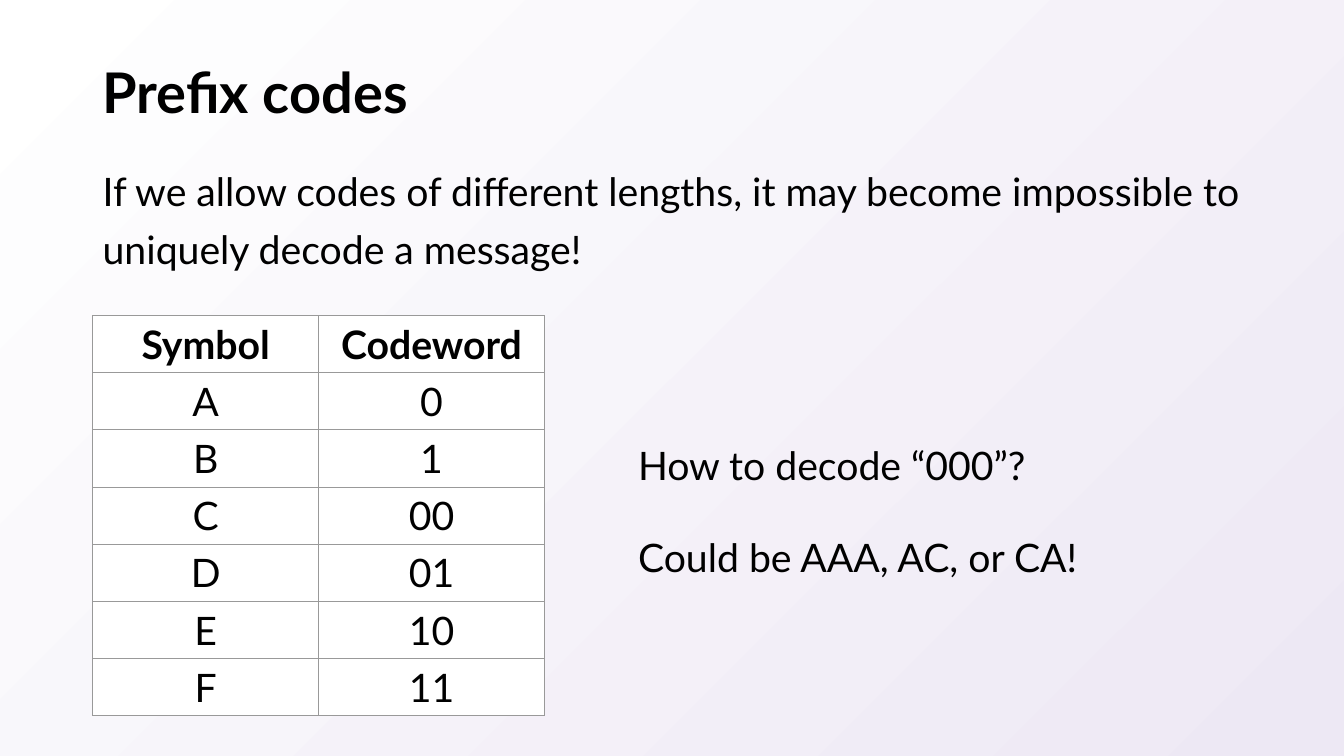
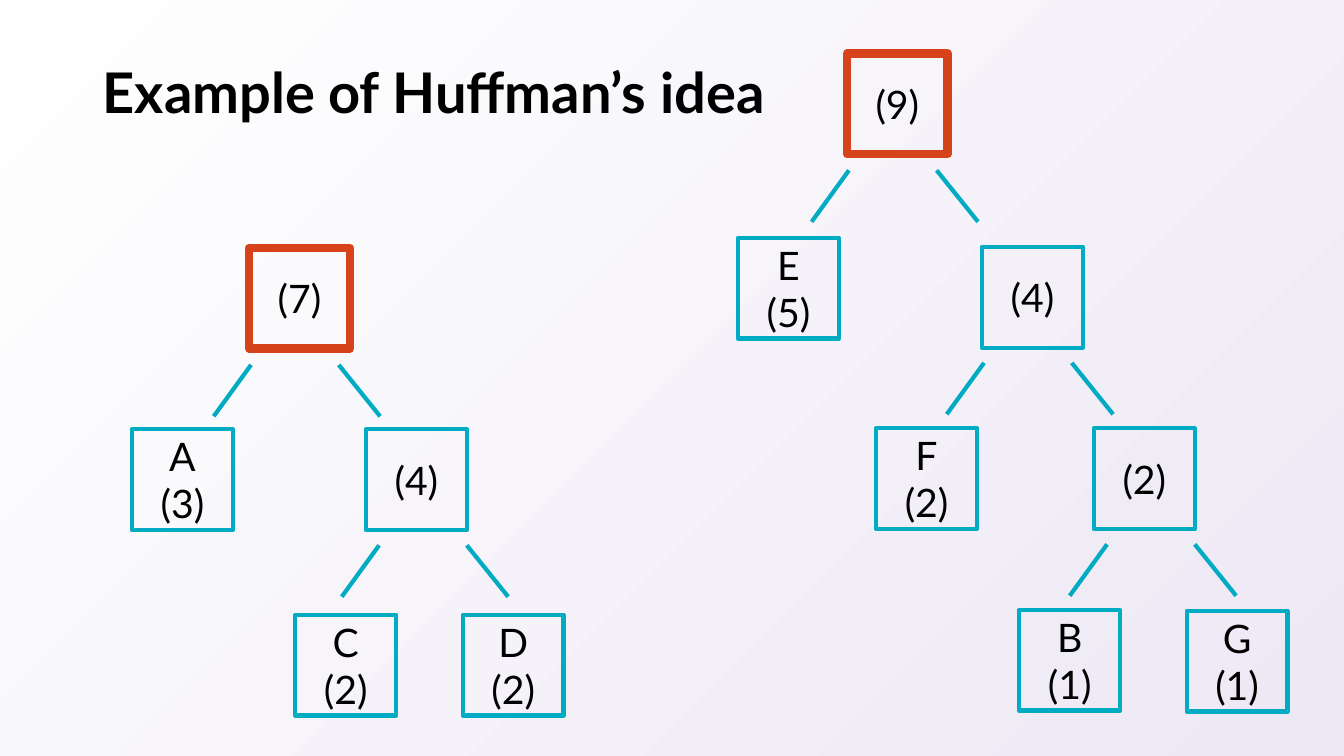
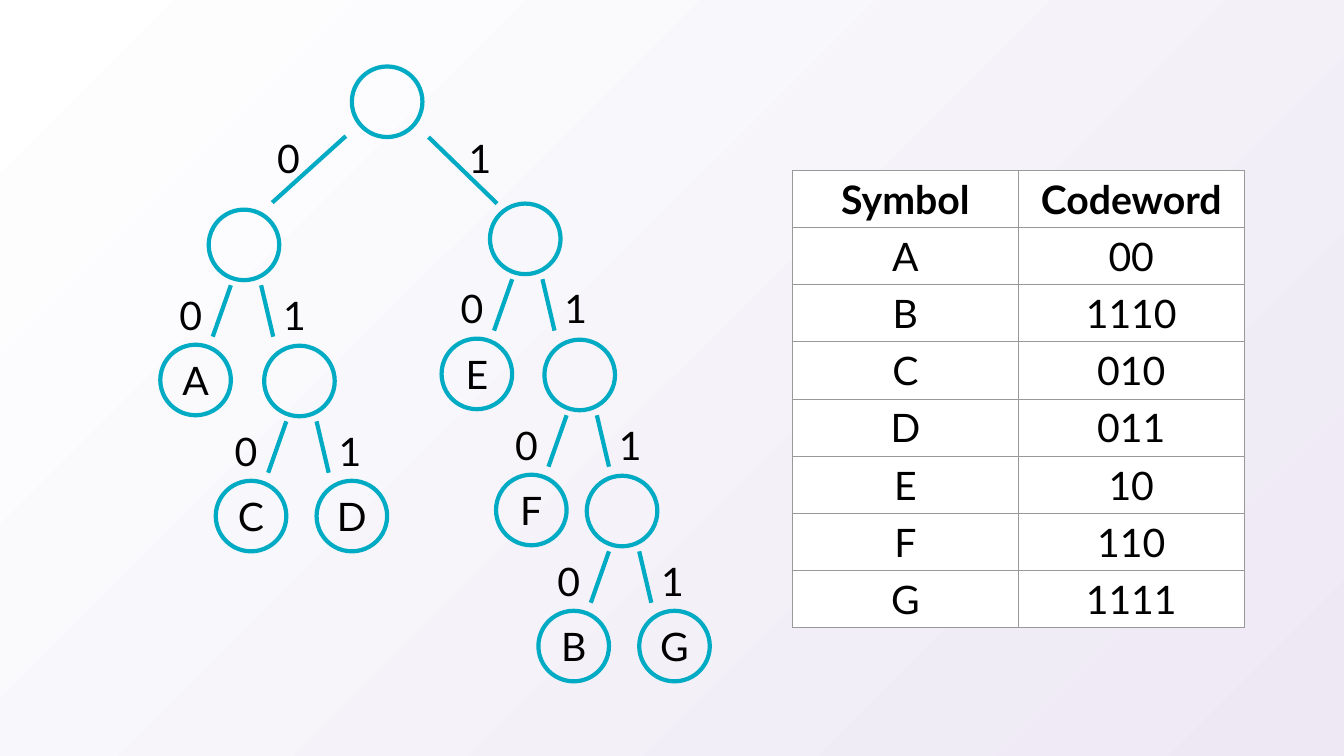
from pptx import Presentation
from pptx.dml.color import RGBColor
from pptx.enum.shapes import MSO_CONNECTOR, MSO_SHAPE
from pptx.enum.text import MSO_ANCHOR, PP_ALIGN
from pptx.oxml.ns import qn
from pptx.util import Pt
from lxml.etree import SubElement

PX = 9144  # EMU per px, 100 px to the inch
WHITE = RGBColor(0xFF, 0xFF, 0xFF)
BLACK = RGBColor(0x00, 0x00, 0x00)
LILAC = RGBColor(0xED, 0xE8, 0xF4)
TEAL = RGBColor(0x00, 0xAB, 0xC3)
ORANGE = RGBColor(0xD6, 0x43, 0x1A)
GREY = RGBColor(0x99, 0x99, 0x99)
FONT = "Lato"
TITLE_SIZE, TEXT_SIZE = 40, 28
BOX, CIRCLE = 100, 70


def px(*lengths):
    return [length * PX for length in lengths]


class Deck:
    def __init__(self):
        self.prs = Presentation()
        self.prs.slide_width, self.prs.slide_height = px(1333, 750)
        fill = self.prs.slide_master.background.fill
        fill.gradient()
        fill.gradient_angle = 315
        for stop, color in zip(fill.gradient_stops, (WHITE, LILAC)):
            stop.color.rgb = color

    def new_slide(self, title=None):
        self.slide = self.prs.slides.add_slide(self.prs.slide_layouts[6])
        if title:
            self.text(92, 40, 1150, 109, [title], size=TITLE_SIZE, bold=True,
                      anchor=MSO_ANCHOR.MIDDLE, line_spacing=0.9, before=0)

    def add_lines(self, frame, lines, size=TEXT_SIZE, bold=False, align=PP_ALIGN.LEFT,
                  line_spacing=None, before=None):
        for index, line in enumerate(lines):
            paragraph = frame.add_paragraph() if index else frame.paragraphs[0]
            paragraph.alignment = align
            paragraph.line_spacing = line_spacing
            if before is not None:
                paragraph.space_before = Pt(before)
            run = paragraph.add_run()
            run.text = line
            run.font.name = FONT
            run.font.size = Pt(size)
            run.font.bold = bold
            run.font.color.rgb = BLACK

    def text(self, x, y, width, height, lines, wrap=True, anchor=MSO_ANCHOR.TOP,
             line_spacing=1.25, before=24, **style):
        frame = self.slide.shapes.add_textbox(*px(x, y, width, height)).text_frame
        frame.word_wrap = wrap
        frame.vertical_anchor = anchor
        self.add_lines(frame, lines, line_spacing=line_spacing, before=before, **style)

    def node(self, kind, x, y, side, lines=(), color=TEAL, weight=3):
        shape = self.slide.shapes.add_shape(kind, *px(x, y, side, side))
        shape.shadow.inherit = False
        shape.fill.background()
        shape.line.color.rgb = color
        shape.line.width = Pt(weight)
        shape.text_frame.vertical_anchor = MSO_ANCHOR.MIDDLE
        self.add_lines(shape.text_frame, lines, align=PP_ALIGN.CENTER)

    def box(self, x, y, *lines, **outline):
        self.node(MSO_SHAPE.RECTANGLE, x, y, BOX, lines, **outline)

    def circle(self, x, y, *lines):
        self.node(MSO_SHAPE.OVAL, x, y, CIRCLE, lines)

    def branch(self, x1, y1, x2, y2):
        line = self.slide.shapes.add_connector(MSO_CONNECTOR.STRAIGHT, *px(x1, y1, x2, y2))
        line.line.color.rgb = TEAL
        line.line.width = Pt(3)
        SubElement(line._element.spPr, qn("a:effectLst"))

    def fork(self, x, y):
        """Two branches spreading downwards from y, the left one ending at x."""
        self.branch(x, y + 51, x + 37, y)
        self.branch(x + 165, y + 51, x + 124, y)

    def bit(self, x, y, digit):
        self.text(x, y, 43, 63, [digit], wrap=False)

    def comb(self, x, y, leaves, steps):
        """A tree whose left children are all leaves; steps lead right to inner nodes."""
        for leaf, step in zip(leaves, (*steps, None)):
            self.circle(x, y)
            self.branch(x + 4, y + 126, x + 22, y + 75)
            self.branch(x + 64, y + 126, x + 52, y + 75)
            self.bit(x - 39, y + 64, "0")
            self.bit(x + 64, y + 64, "1")
            self.circle(x - 48, y + 134, leaf)
            if step:
                x, y = x + step, y + 135
        self.circle(x + 52, y + 134, leaves[-1])

    def code_table(self, x, y, codewords):
        rows = [("Symbol", "Codeword"), *codewords.items()]
        table = self.slide.shapes.add_table(
            len(rows), 2, *px(x, y, 448, 56 * len(rows))).table
        for r, row in enumerate(rows):
            for c, value in enumerate(row):
                cell = table.cell(r, c)
                cell.vertical_anchor = MSO_ANCHOR.MIDDLE
                self.add_lines(cell.text_frame, [value], bold=r == 0, align=PP_ALIGN.CENTER)
                self.border(cell)
                cell.fill.solid()
                cell.fill.fore_color.rgb = WHITE

    def border(self, cell):
        properties = cell._tc.get_or_add_tcPr()
        for edge in ("a:lnL", "a:lnR", "a:lnT", "a:lnB"):
            line = SubElement(properties, qn(edge), w=str(Pt(0.75)))
            fill = SubElement(line, qn("a:solidFill"))
            SubElement(fill, qn("a:srgbClr"), val=str(GREY))


def prefix_codes(deck):
    deck.new_slide("Prefix codes")
    deck.text(92, 149, 1150, 526, [
        "If we allow codes of different lengths, it may become impossible to "
        "uniquely decode a message!"])
    deck.code_table(92, 313, {"A": "0", "B": "1", "C": "00", "D": "01", "E": "10", "F": "11"})
    deck.text(623, 421, 564, 155, ["How to decode “000”?", "Could be AAA, AC, or CA!"])


def huffman_example(deck):
    deck.new_slide("Example of Huffman’s idea")
    for x, y, symbol, count in (
            (131, 426, "A", 3), (1011, 605, "B", 1), (293, 610, "C", 2), (459, 610, "D", 2),
            (732, 236, "E", 5), (869, 425, "F", 2), (1177, 606, "G", 1)):
        deck.box(x, y, symbol, f"({count})")
    for x, y, count, fork_shift in ((1085, 425, 2, 24), (363, 426, 4, 24), (974, 245, 4, 35)):
        deck.box(x, y, f"({count})")
        deck.fork(x - fork_shift, y + 115)
    for x, y, count in ((247, 246, 7), (840, 53, 9)):
        deck.box(x, y, f"({count})", color=ORANGE, weight=6)
        deck.fork(x - 35, y + 116)


def huffman_codes(deck):
    deck.new_slide()
    deck.circle(349, 66)
    deck.branch(270, 201, 343, 135)
    deck.branch(493, 202, 425, 136)
    deck.bit(265, 117, "0")
    deck.bit(455, 117, "1")
    deck.comb(207, 208, "ACD", (55,))
    deck.comb(486, 202, "EFBG", (54, 42))
    deck.code_table(786, 169, {"A": "00", "B": "1110", "C": "010", "D": "011",
                               "E": "10", "F": "110", "G": "1111"})


def main():
    deck = Deck()
    prefix_codes(deck)
    huffman_example(deck)
    huffman_codes(deck)
    deck.prs.save("out.pptx")


if __name__ == "__main__":
    main()
